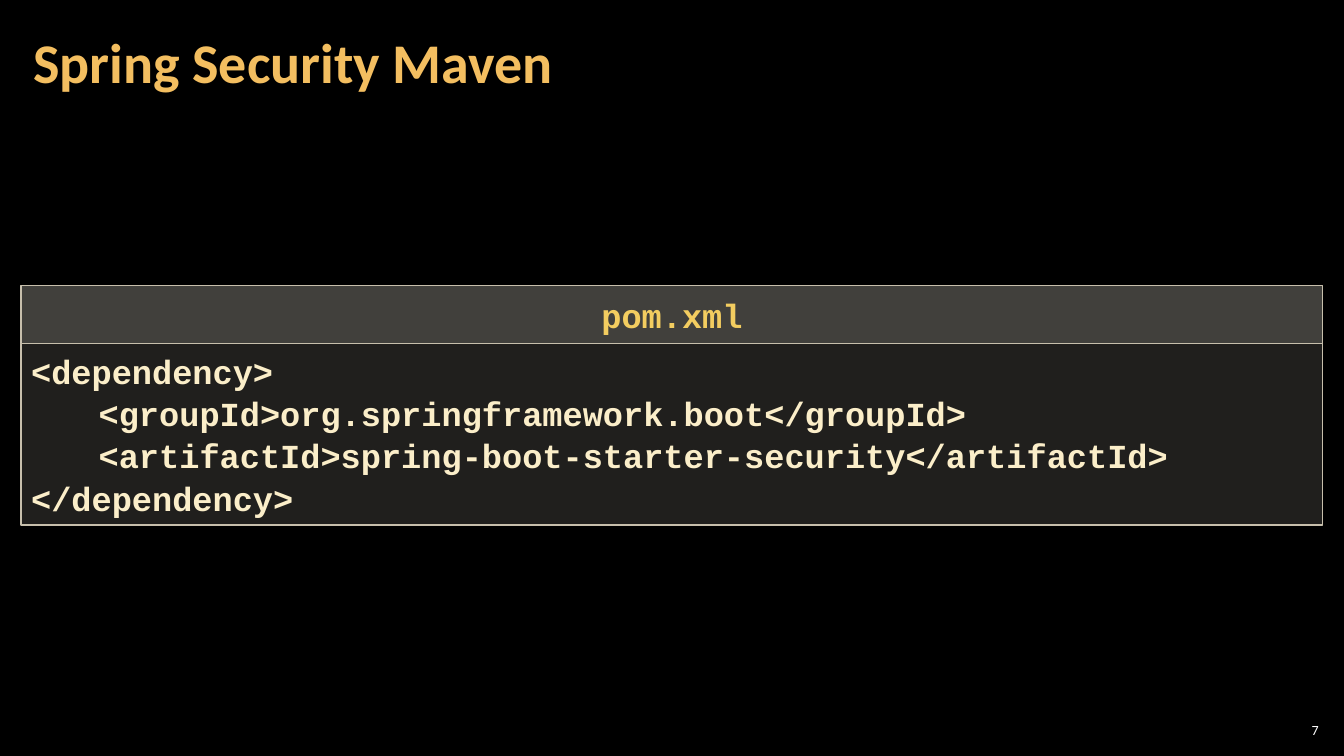
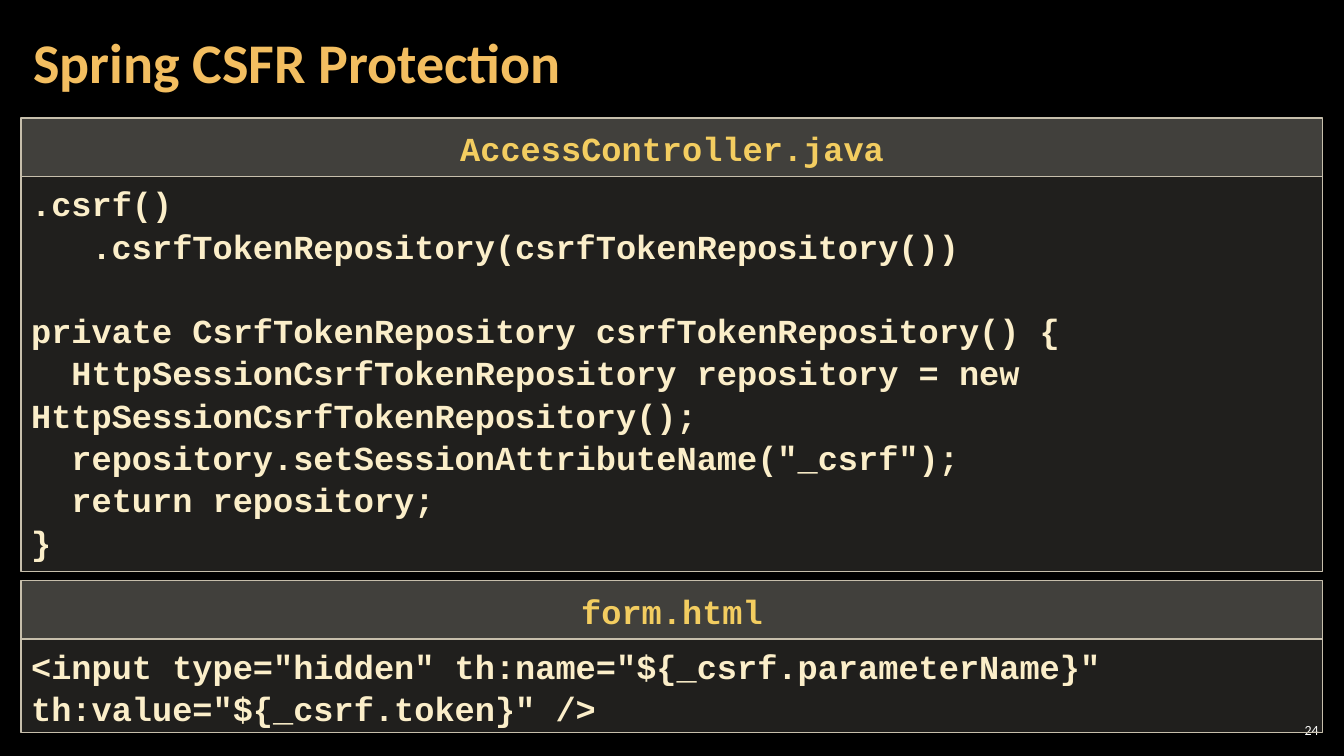
from lxml.etree import SubElement
from pptx import Presentation
from pptx.dml.color import RGBColor
from pptx.enum.text import MSO_ANCHOR, MSO_AUTO_SIZE, PP_ALIGN
from pptx.enum.shapes import MSO_SHAPE
from pptx.oxml.ns import qn
from pptx.util import Inches, Pt

COLORS = {
    "background": "000000",
    "title": "F3BE60",
    "panel": "D9D5C7",
    "border": "C7BFAC",
    "file_name": "F3CD60",
    "code": "FBEEC9",
    "number": "FFFFFF",
}
TEXT_FONT, CODE_FONT = "Calibri", "Courier New"

# Page grid, in inches
WIDTH, HEIGHT = 13.33, 7.5
MARGIN = 0.21
CONTENT_WIDTH = WIDTH - 2 * MARGIN
HEADER_HEIGHT = 0.58
CODE_SIZE = 24
CODE_LINE_PITCH = 30  # points
CHARACTER = 0.2  # width of one code character


def color(name):
    return RGBColor.from_string(COLORS[name])


def add_run(paragraph, text, font, size, color_name, bold=True):
    run = paragraph.add_run()
    run.text = text
    run.font.name = font
    run.font.size = Pt(size)
    run.font.bold = bold
    run.font.color.rgb = color(color_name)


def set_frame(frame, anchor, horizontal, vertical):
    frame.word_wrap = True
    frame.auto_size = MSO_AUTO_SIZE.NONE
    frame.vertical_anchor = anchor
    frame.margin_left = frame.margin_right = Inches(horizontal)
    frame.margin_top = frame.margin_bottom = Inches(vertical)


def style_master(prs, layout):
    """Set the background and title place shared by all slides."""
    background = prs.slide_master.background.fill
    background.solid()
    background.fore_color.rgb = color("background")
    title = layout.placeholders[0]
    title.left, title.top = Inches(MARGIN), Inches(0.04)
    title.width, title.height = Inches(10.47), Inches(1.21)


def add_page(prs, layout, heading, number):
    slide = prs.slides.add_slide(layout)
    # Title
    frame = slide.shapes.title.text_frame
    set_frame(frame, MSO_ANCHOR.MIDDLE, 0.12, 0.04)
    paragraph = frame.paragraphs[0]
    paragraph.alignment = PP_ALIGN.LEFT
    paragraph.line_spacing = 0.9
    add_run(paragraph, heading, TEXT_FONT, 40, "title")
    # Page number
    number_width = 0.47
    page_number = slide.shapes.add_textbox(
        Inches(WIDTH - MARGIN - number_width), Inches(7.14),
        Inches(number_width), Inches(MARGIN))
    set_frame(page_number.text_frame, MSO_ANCHOR.MIDDLE, 0.04, 0.04)
    paragraph = page_number.text_frame.paragraphs[0]
    paragraph.alignment = PP_ALIGN.RIGHT
    add_run(paragraph, str(number), TEXT_FONT, 10, "number", bold=False)
    return slide


def add_box(slide, top, height, opacity, inset):
    """Add a translucent full-width box and return its text frame."""
    box = slide.shapes.add_shape(
        MSO_SHAPE.RECTANGLE, Inches(MARGIN), Inches(top),
        Inches(CONTENT_WIDTH), Inches(height))
    box.shadow.inherit = False
    box.fill.solid()
    box.fill.fore_color.rgb = color("panel")
    fill_color = box.fill._xPr.find(qn("a:solidFill")).find(qn("a:srgbClr"))
    SubElement(fill_color, qn("a:alpha")).set("val", str(opacity * 1000))
    box.line.color.rgb = color("border")
    box.line.width = Pt(1)
    set_frame(box.text_frame, MSO_ANCHOR.TOP, 0.1, inset)
    return box.text_frame


def add_code_panel(slide, top, code_height, file_name, lines):
    """Lines are (indent in inches, text); a None line leaves a gap."""
    code = add_box(slide, top + HEADER_HEIGHT, code_height, 15, 0.05)
    paragraph = None
    for line in lines:
        if line is None:
            paragraph.space_after = Pt(CODE_LINE_PITCH)
            continue
        indent, text = line
        paragraph = code.add_paragraph() if paragraph else code.paragraphs[0]
        paragraph.alignment = PP_ALIGN.LEFT
        paragraph.line_spacing = 1.05
        properties = paragraph._p.get_or_add_pPr()
        properties.set("marL", "0")
        properties.set("indent", str(Inches(indent)))
        add_run(paragraph, text, CODE_FONT, CODE_SIZE, "code")

    header = add_box(slide, top, HEADER_HEIGHT, 30, 0.08).paragraphs[0]
    header.alignment = PP_ALIGN.CENTER
    header.line_spacing = 1.05
    add_run(header, file_name, CODE_FONT, CODE_SIZE, "file_name")


def main():
    prs = Presentation()
    prs.slide_width, prs.slide_height = Inches(WIDTH), Inches(HEIGHT)
    layout = prs.slide_layouts[5]
    style_master(prs, layout)

    # Maven dependency
    maven = add_page(prs, layout, "Spring Security Maven", 7)
    tab = 0.67
    add_code_panel(maven, 2.83, 1.8, "pom.xml", [
        (0, "<dependency>"),
        (tab, "<groupId>org.springframework.boot</groupId>"),
        (tab, "<artifactId>spring-boot-starter-security</artifactId>"),
        (0, "</dependency>"),
    ])

    # Token repository and form field
    csrf = add_page(prs, layout, "Spring CSFR Protection", 24)
    step = 2 * CHARACTER
    add_code_panel(csrf, 1.17, 3.92, "AccessController.java", [
        (0, ".csrf()"),
        (3 * CHARACTER, ".csrfTokenRepository(csrfTokenRepository())"),
        None,
        (0, "private CsrfTokenRepository csrfTokenRepository() {"),
        (step, "HttpSessionCsrfTokenRepository repository = new "
               "HttpSessionCsrfTokenRepository();"),
        (step, 'repository.setSessionAttributeName("_csrf");'),
        (step, "return repository;"),
        (0, "}"),
    ])
    add_code_panel(csrf, 5.76, 0.93, "form.html", [
        (0, '<input type="hidden" th:name="${_csrf.parameterName}" '
            'th:value="${_csrf.token}" />'),
    ])

    prs.save("out.pptx")


if __name__ == "__main__":
    main()
